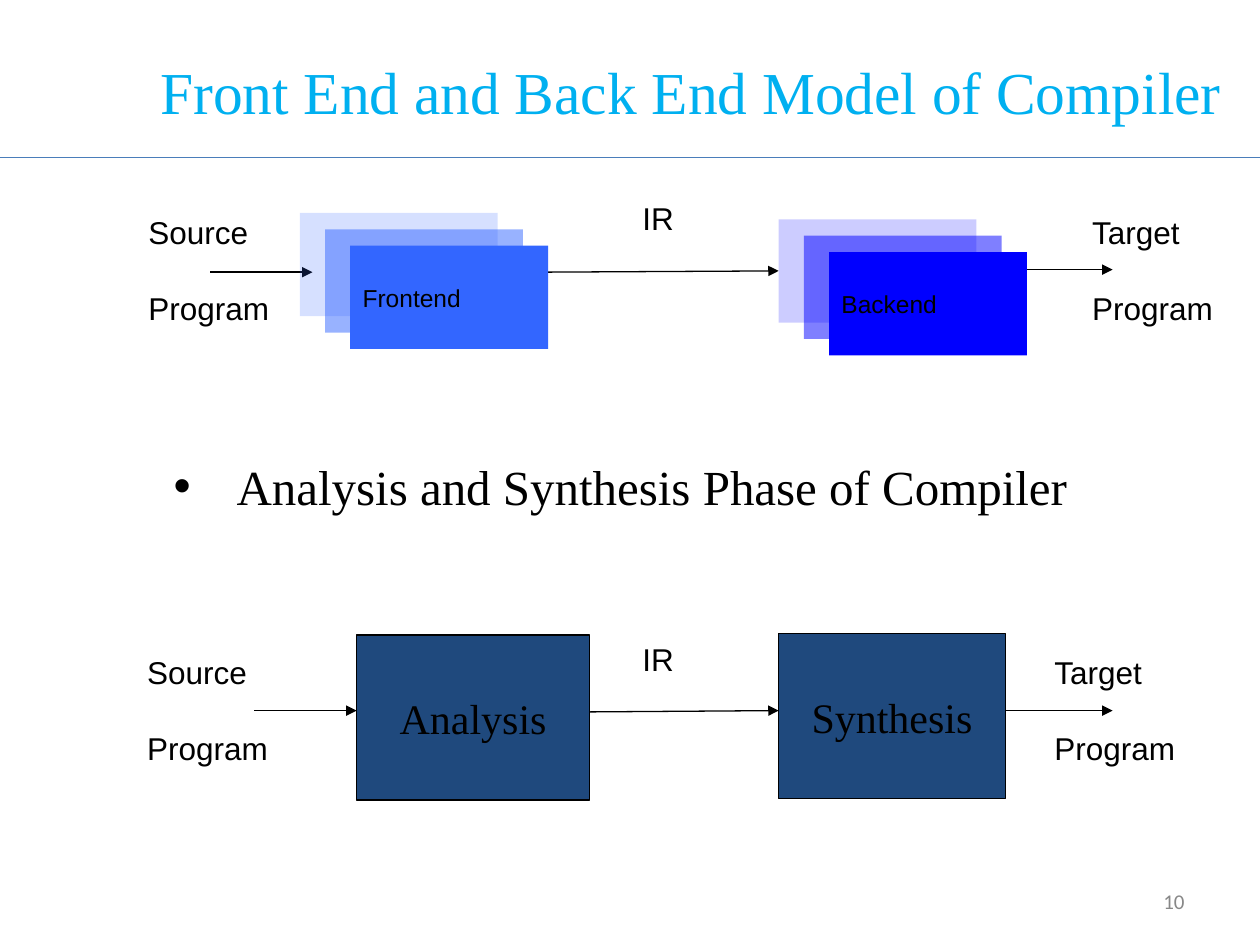
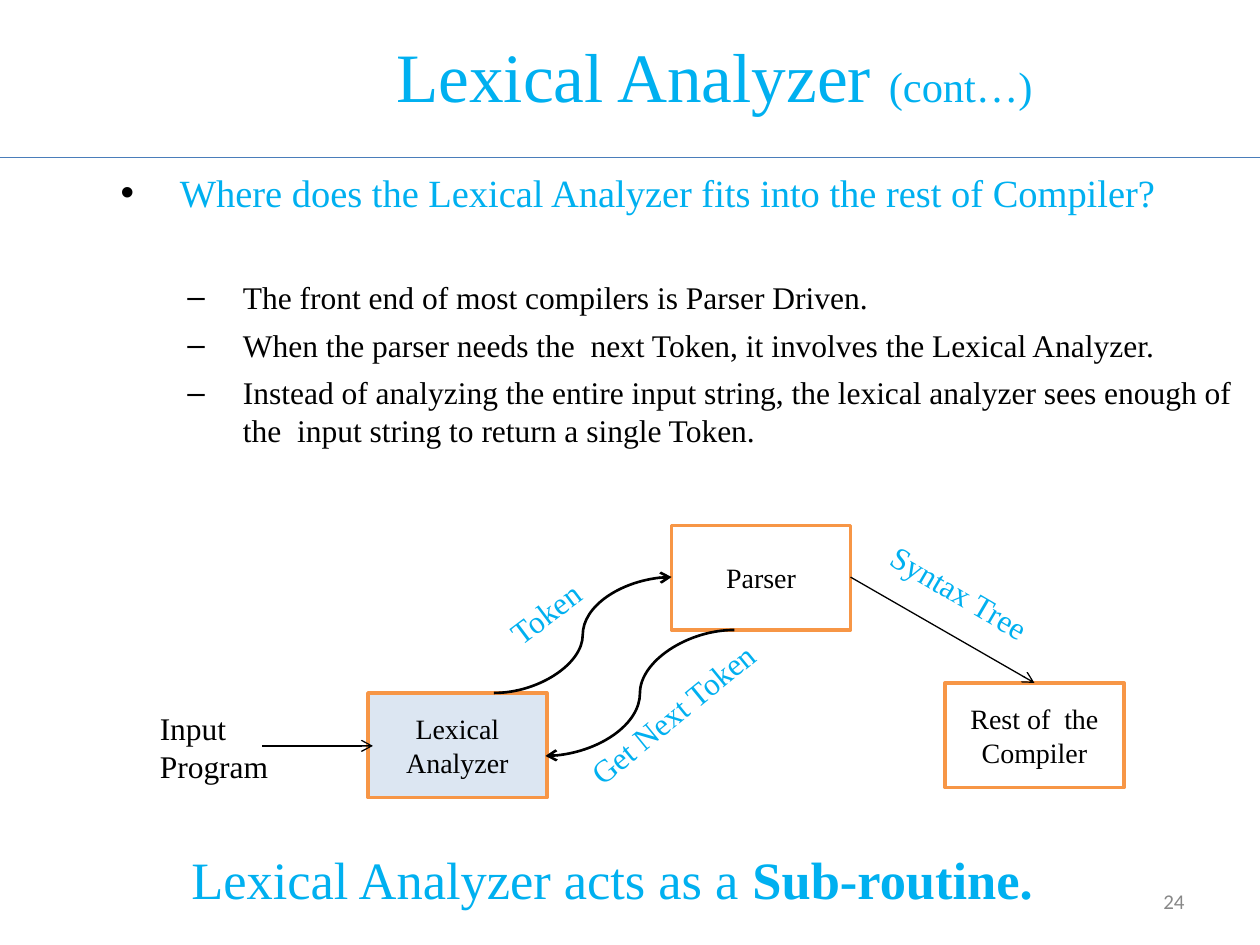
from lxml.etree import SubElement
from pptx import Presentation
from pptx.dml.color import RGBColor
from pptx.enum.shapes import MSO_CONNECTOR, MSO_SHAPE
from pptx.enum.text import MSO_ANCHOR, MSO_AUTO_SIZE, PP_ALIGN
from pptx.oxml.ns import qn
from pptx.util import Inches, Pt

BLACK = RGBColor(0x00, 0x00, 0x00)
WHITE = RGBColor(0xFF, 0xFF, 0xFF)
CYAN = RGBColor(0x00, 0xB0, 0xF0)
NAVY = RGBColor(0x1F, 0x49, 0x7D)
ROYAL = RGBColor(0x33, 0x66, 0xFF)
BLUE = RGBColor(0x00, 0x00, 0xFF)
PALE = RGBColor(0xDC, 0xE6, 0xF2)
ORANGE = RGBColor(0xF7, 0x96, 0x46)
RULE = RGBColor(0x4A, 0x7D, 0xBA)
GREY = RGBColor(0x88, 0x88, 0x88)

SERIF = "Times New Roman"
SANS = "Arial"


def style(size, color=BLACK, name=SERIF, bold=False):
    return {"size": Pt(size), "name": name, "bold": bold, "color": color}


TITLE = style(34, CYAN)
LABEL = style(18, BLACK, SANS)
LAYER = style(14, BLACK, SANS)
PHASE = style(24)
NODE = style(16)
FLOW = style(18, CYAN)
PAGE = style(12, GREY, "Calibri")


class Deck:
    def __init__(self):
        self.prs = Presentation()
        self.prs.slide_width, self.prs.slide_height = Inches(10), Inches(7.5)
        self.s = None

    def slide(self, number, box, runs):
        self.s = self.prs.slides.add_slide(self.prs.slide_layouts[5])
        sp = self.s.shapes.title
        sp.left, sp.top, sp.width, sp.height = map(Inches, box)
        self.fill_text(sp, [runs], PP_ALIGN.CENTER)
        self.line((0, 1.25), (10, 1.25), RULE, head=None)
        self.text((7.17, 6.95, 2.33, 0.4), [[(number, PAGE)]],
                  PP_ALIGN.RIGHT, MSO_ANCHOR.MIDDLE)

    def fill_text(self, sp, paragraphs, align=PP_ALIGN.LEFT,
                  anchor=MSO_ANCHOR.MIDDLE):
        tf = sp.text_frame
        frame = {"word_wrap": True, "auto_size": MSO_AUTO_SIZE.NONE,
                 "vertical_anchor": anchor}
        for key, value in frame.items():
            setattr(tf, key, value)
        for i, runs in enumerate(paragraphs):
            p = tf.add_paragraph() if i else tf.paragraphs[0]
            p.alignment = align
            for text, fmt in runs:
                r = p.add_run()
                r.text = text
                for key, value in fmt.items():
                    if key == "color":
                        r.font.color.rgb = value
                    else:
                        setattr(r.font, key, value)
        return tf

    def text(self, box, paragraphs, align=PP_ALIGN.LEFT,
             anchor=MSO_ANCHOR.TOP, rotation=0):
        sp = self.s.shapes.add_textbox(*map(Inches, box))
        sp.rotation = rotation
        return self.fill_text(sp, paragraphs, align, anchor)

    def bullet(self, p, char, left, hang, before=0, level=0):
        p.level = level
        p.space_before = Pt(before)
        pPr = p._p.get_or_add_pPr()
        pPr.set("marL", str(Inches(left)))
        pPr.set("indent", str(-Inches(hang)))
        color = SubElement(pPr, qn("a:buClr"))
        SubElement(color, qn("a:srgbClr")).set("val", str(BLACK))
        SubElement(pPr, qn("a:buFont")).set("typeface", SANS)
        SubElement(pPr, qn("a:buChar")).set("char", char)

    def rect(self, box, fill, line=None, width=0.75, alpha=100,
             text=None, fmt=NODE, align=PP_ALIGN.CENTER):
        sp = self.s.shapes.add_shape(MSO_SHAPE.RECTANGLE, *map(Inches, box))
        sp.shadow.inherit = False
        sp.fill.solid()
        sp.fill.fore_color.rgb = fill
        if alpha < 100:
            color = sp._element.spPr.find(".//" + qn("a:srgbClr"))
            SubElement(color, qn("a:alpha")).set("val", str(alpha * 1000))
        if line is None:
            sp.line.fill.background()
        else:
            sp.line.color.rgb = line
            sp.line.width = Pt(width)
        if text:
            self.fill_text(sp, [[(text, fmt)]], align)

    def line(self, start, end, color=BLACK, width=0.75, head="triangle",
             kind=MSO_CONNECTOR.STRAIGHT):
        sp = self.s.shapes.add_connector(kind, *map(Inches, start + end))
        sp.line.color.rgb = color
        sp.line.width = Pt(width)
        if head:
            SubElement(sp.line._get_or_add_ln(),
                       qn("a:tailEnd")).set("type", head)
        SubElement(sp._element.spPr, qn("a:effectLst"))

    def program(self, left, top, word):
        tf = self.text((left, top, 1.31, 1.01),
                       [[(word, LABEL)], [("Program", LABEL)]])
        tf.paragraphs[1].space_before = Pt(22)

    def stack(self, left, top, color, text):
        for i, alpha in enumerate((20, 50, 100)):
            self.rect((left + 0.2 * i, top + 0.13 * i, 1.57, 0.82), color,
                      alpha=alpha, text=text if alpha == 100 else None,
                      fmt=LAYER, align=PP_ALIGN.LEFT)


deck = Deck()

deck.slide("10", (1.08, 0.33, 8.81, 0.78),
           [("Front End and Back End Model of Compiler", TITLE)])
tf = deck.text((1.28, 3.48, 8.6, 0.75),
               [[("Analysis and Synthesis Phase of Compiler", style(28))]],
               anchor=MSO_ANCHOR.MIDDLE)
deck.bullet(tf.paragraphs[0], "•", 0.5, 0.5)

for start, end in (((1.67, 2.16), (2.48, 2.16)),
                   ((4.33, 2.16), (6.18, 2.15)),
                   ((7.97, 2.14), (8.83, 2.14)),
                   ((2.02, 5.64), (2.83, 5.64)),
                   ((4.68, 5.65), (6.18, 5.64)),
                   ((7.97, 5.64), (8.83, 5.64))):
    deck.line(start, end)
for top in (1.53, 5.03):
    deck.text((5, top, 0.77, 0.4), [[("IR", LABEL)]])
for left, top, word in ((1.08, 1.64, "Source"), (8.57, 1.64, "Target"),
                        (1.07, 5.13, "Source"), (8.27, 5.13, "Target")):
    deck.program(left, top, word)
deck.stack(2.38, 1.69, ROYAL, "Frontend")
deck.stack(6.18, 1.74, BLUE, "Backend")
for box, text in (((2.83, 5.04, 1.85, 1.31), "Analysis"),
                  ((6.18, 5.03, 1.8, 1.31), "Synthesis")):
    deck.rect(box, NAVY, BLACK, text=text, fmt=PHASE)

deck.slide("24", (1.57, 0.33, 8.2, 0.53),
           [("Lexical Analyzer ", style(39.6, CYAN)),
            ("(cont…)", style(24.3, CYAN))])
question = "Where does the Lexical Analyzer fits into the rest of Compiler?"
points = (
    "The front end of most compilers is Parser Driven.",
    "When the parser needs the  next Token, it involves the Lexical Analyzer.",
    "Instead of analyzing the entire input string, the lexical analyzer sees "
    "enough of the  input string to return a single Token.",
)
tf = deck.text((0.83, 0.83, 9.17, 3.17),
               [[(question, style(22, CYAN))]]
               + [[(point, style(18))] for point in points])
tf.margin_top = Inches(0.51)
first, *rest = tf.paragraphs
deck.bullet(first, "•", 0.5, 0.47)
for i, p in enumerate(rest):
    deck.bullet(p, "–", 1, 0.44, before=5.6 if i else 36, level=1)

for left, top, fill, text in ((7.5, 5.42, WHITE, "Rest of  the Compiler"),
                              (2.92, 5.5, PALE, "Lexical Analyzer"),
                              (5.33, 4.17, WHITE, "Parser")):
    deck.rect((left, top, 1.42, 0.83), fill, ORANGE, 2, text=text)
for start, end in (((3.92, 5.5), (5.33, 4.58)), ((5.83, 5), (4.33, 6))):
    deck.line(start, end, width=1.5, head="arrow", kind=MSO_CONNECTOR.CURVE)
for start, end in (((6.75, 4.58), (8.21, 5.42)), ((2.08, 5.92), (2.96, 5.92))):
    deck.line(start, end, head="arrow")
deck.text((1.17, 5.58, 1.33, 0.71), [[("Input Program", style(18))]])
deck.text((1.42, 6.67, 8.2, 0.83),
          [[("Lexical Analyzer acts as a ", style(30, CYAN)),
            ("Sub-routine.", style(30, CYAN, bold=True))]])
for left, top, width, angle, text in ((3.9, 4.61, 1, 323.1, "Token"),
                                      (4.44, 5.45, 1.83, 320.8, "Get Next Token"),
                                      (6.9, 4.56, 1.63, 30.5, "Syntax Tree")):
    deck.text((left, top, width, 0.4), [[(text, FLOW)]], rotation=angle)

deck.prs.save("out.pptx")
